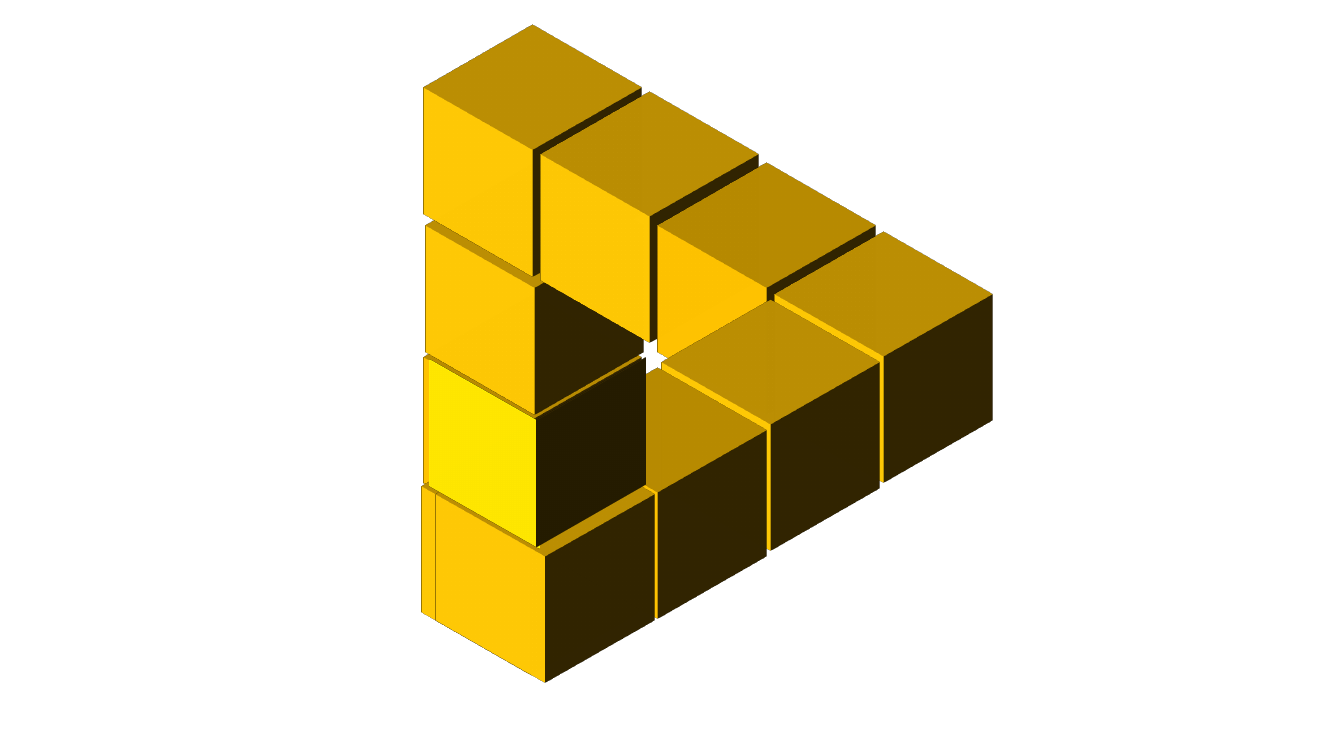
from dataclasses import dataclass

from lxml import etree
from pptx import Presentation
from pptx.dml.color import RGBColor
from pptx.enum.shapes import MSO_SHAPE
from pptx.oxml.ns import qn
from pptx.util import Inches


@dataclass(frozen=True)
class Theme:
    gold: str = "FFC000"
    shade: str = "1F1701"


@dataclass(frozen=True)
class Look:
    """Isometric camera, light, material and depth in inches."""
    camera: str = "isometricLeftDown"
    light: str = "threePt"
    material: str = "warmMatte"
    depth: float = 1.53


THEME = Theme()
SIDE = 1.53
LIT = Look()
PLAIN = Look(material="matte")
LEFT_FACE = Look(light="flat", material="matte", depth=0.01)
RIGHT_FACE = Look("isometricRightUp", "flat", "matte", 0.01)

# Left and top of each cube, from back to front
CUBES = [
    (3.98, 3.71, PLAIN),
    (3.96, 4.99, LIT),
    (4.00, 2.41, LIT),
    (3.98, 1.04, LIT),
    (5.14, 1.70, LIT),
    (6.30, 2.41, PLAIN),
    (7.46, 3.09, LIT),
    (6.34, 3.76, LIT),
    (5.22, 4.44, PLAIN),
    (4.10, 5.07, LIT),
]


def add_depth(shape, look):
    """Turn a flat square into an isometric solid."""
    def add(parent, tag, **values):
        return etree.SubElement(parent, qn(tag), values)

    properties = shape.fill._xPr
    scene = add(properties, "a:scene3d")
    add(scene, "a:camera", prst=look.camera)
    add(scene, "a:lightRig", rig=look.light, dir="t")
    add(properties, "a:sp3d", extrusionH=str(Inches(look.depth)),
        prstMaterial=look.material)


def draw_square(shapes, x, y, color, look):
    square = shapes.add_shape(
        MSO_SHAPE.RECTANGLE, Inches(x), Inches(y), Inches(SIDE), Inches(SIDE))
    square.shadow.inherit = False
    square.fill.solid()
    square.fill.fore_color.rgb = RGBColor.from_string(color)
    square.line.fill.background()
    add_depth(square, look)


def draw_impossible_triangle(page):
    for x, y, look in CUBES:
        draw_square(page.shapes, x, y, THEME.gold, look)
    # Two faces of the first cube pass in front again and close the loop
    overlap = page.shapes.add_group_shape()
    draw_square(overlap.shapes, 4.04, 3.74, THEME.gold, LEFT_FACE)
    draw_square(overlap.shapes, 5.10, 3.72, THEME.shade, RIGHT_FACE)


def main():
    deck = Presentation()
    deck.slide_width, deck.slide_height = Inches(13.33), Inches(7.5)
    page = deck.slides.add_slide(deck.slide_layouts[6])
    draw_impossible_triangle(page)
    deck.save("out.pptx")


if __name__ == "__main__":
    main()
